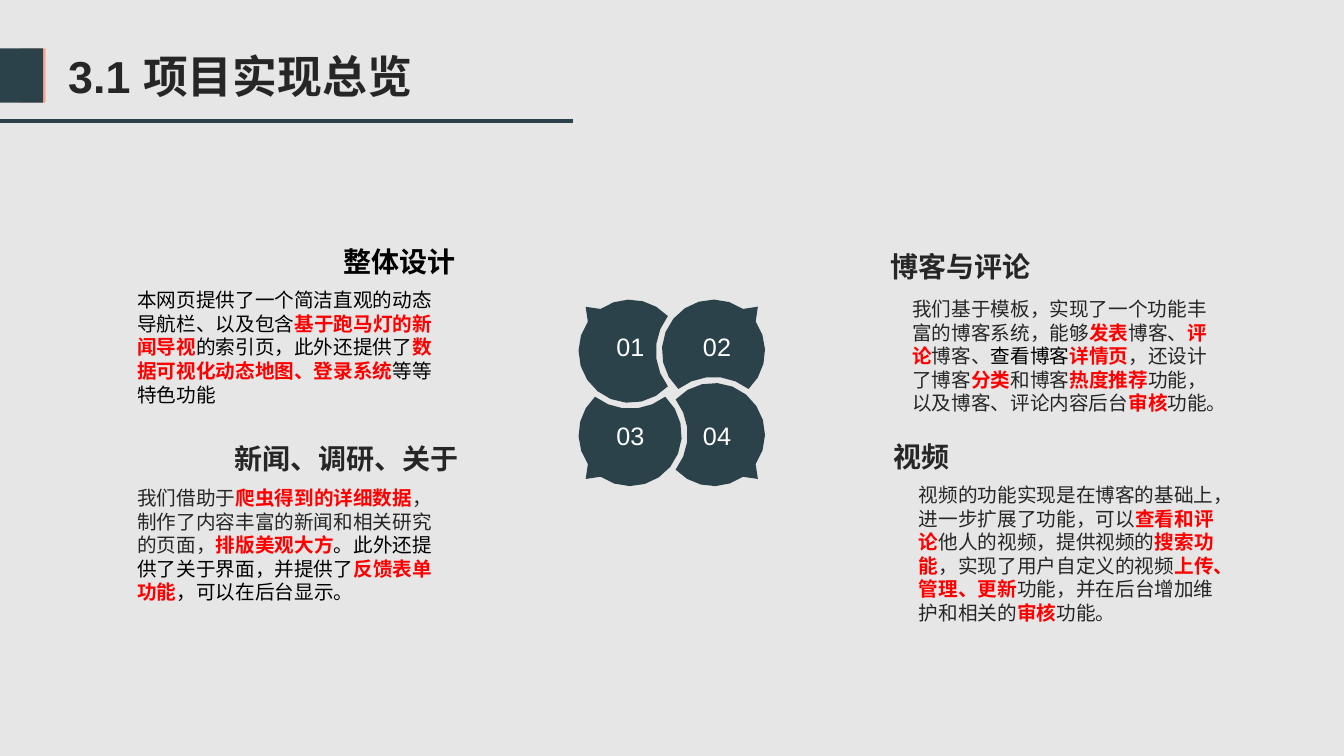
"""Build the project overview slide with four petals and four topics."""
import math
from dataclasses import dataclass
from typing import NamedTuple

import pptx
import pptx.dml.color
import pptx.enum.shapes
import pptx.enum.text
import pptx.oxml
import pptx.oxml.ns
import pptx.util

Cm = pptx.util.Cm
ALIGN = pptx.enum.text.PP_ALIGN
TEAL, PEACH, INK = "2B424A", "F6AC91", "262626"
BLACK, RED, WHITE = "000000", "FF0000", "FFFFFF"
CENTER_X, CENTER_Y, OFFSET = 16.93, 9.9, 1.05
RADIUS, BITE_RADIUS, ARC_STEP = 1.3, 1.45, 18


class Run(NamedTuple):
    text: str
    color: str = INK
    bold: bool = False


class Box(NamedTuple):
    left: float
    top: float
    width: float
    height: float


@dataclass
class Topic:
    heading: str
    heading_box: Box
    body: list[Run]
    body_box: Box
    color: str = INK
    align: ALIGN = ALIGN.LEFT


@dataclass
class Petal:
    label: str
    quarter_turns: int
    label_left: float
    label_top: float


def rgb(color: str) -> pptx.dml.color.RGBColor:
    return pptx.dml.color.RGBColor.from_string(color)


def hot(text: str) -> Run:
    return Run(text, RED, True)


def black(text: str) -> Run:
    return Run(text, BLACK)


def add_text(s, runs: list[Run], box: Box, *, size: float, align: ALIGN = ALIGN.LEFT) -> None:
    sp = s.shapes.add_textbox(*map(Cm, box))
    tf = sp.text_frame
    tf.word_wrap = True
    tf.auto_size = pptx.enum.text.MSO_AUTO_SIZE.SHAPE_TO_FIT_TEXT
    p = tf.paragraphs[0]
    p.alignment = align
    for run in runs:
        r = p.add_run()
        r.text = run.text
        r.font.name = "Arial"
        r.font.size = pptx.util.Pt(size)
        r.font.bold = run.bold
        r.font.color.rgb = rgb(run.color)


def paint(sp, color: str) -> None:
    sp.shadow.inherit = False
    sp.fill.solid()
    sp.fill.fore_color.rgb = rgb(color)
    sp.line.fill.background()


def add_bar(s, box: Box, color: str) -> None:
    paint(s.shapes.add_shape(pptx.enum.shapes.MSO_SHAPE.RECTANGLE, *map(Cm, box)), color)


def arc(x: float, radius: float, start: float, end: float) -> list[tuple[float, float]]:
    steps = math.ceil(abs(end - start) / ARC_STEP)
    angles = [math.radians(start + (end - start) * i / steps) for i in range(steps + 1)]
    return [(x + radius * math.cos(a), radius * math.sin(a)) for a in angles]


def petal_outline() -> list[tuple[float, float]]:
    """Return the lower right petal around its own centre, in centimetres."""
    gap = 2 * OFFSET
    cut = (gap ** 2 + RADIUS ** 2 - BITE_RADIUS ** 2) / (2 * gap)
    edge = 180 - math.degrees(math.acos(cut / RADIUS))
    bite = math.degrees(math.acos((gap - cut) / BITE_RADIUS))
    return [*arc(0, RADIUS, -edge, 35), (1.12, 1.12), *arc(0, RADIUS, 55, edge),
            *arc(-gap, BITE_RADIUS, bite, -bite)[1:-1]]


def add_petal(s, petal: Petal) -> None:
    points = []
    for x, y in petal_outline():
        x, y = x + OFFSET, y + OFFSET
        for _ in range(petal.quarter_turns):
            x, y = -y, x
        points.append((Cm(CENTER_X + x), Cm(CENTER_Y + y)))
    builder = s.shapes.build_freeform(*points[0])
    builder.add_line_segments(points[1:], close=True)
    paint(builder.convert_to_shape(), TEAL)


def add_rule(s, x1: float, x2: float, y: float) -> None:
    line = s.shapes.add_connector(pptx.enum.shapes.MSO_CONNECTOR.STRAIGHT,
                                  Cm(x1), Cm(y), Cm(x2), Cm(y))
    line.line.color.rgb = rgb(TEAL)
    line.line.width = pptx.util.Pt(2.25)
    line._element.spPr.append(pptx.oxml.parse_xml(
        f"<a:effectLst {pptx.oxml.ns.nsdecls('a')}/>"))


PETALS = [Petal("04", 0, 17.32, 10.46), Petal("03", 1, 15.14, 10.46),
          Petal("01", 2, 15.14, 8.23), Petal("02", 3, 17.32, 8.23)]

TOPICS = [
    Topic("整体设计", Box(8.41, 6.03, 4.34, 1.12), [
        black("本网页提供了一个简洁直观的动态导航栏、以及包含"), hot("基于跑马灯的新闻导视"),
        black("的索引页，此外还提供了"), hot("数据可视化动态地图、登录系统"),
        black("等等特色功能"),
    ], Box(3.21, 7.14, 7.95, 3.25), color=BLACK),
    Topic("新闻、调研、关于", Box(5.65, 11, 6.17, 1.12), [
        Run("我们借助于"), hot("爬虫得到的详细数据"),
        Run("，制作了内容丰富的新闻和相关研究的页面，"), hot("排版美观大方"),
        black("。此外还提供了关于界面，并提供了"), hot("反馈表单功能"),
        black("，可以在后台显示。"),
    ], Box(3.21, 12.12, 7.95, 3.25), align=ALIGN.RIGHT),
    Topic("博客与评论", Box(20.05, 6.15, 6.17, 1.12), [
        Run("我们基于模板，实现了一个功能丰富的博客系统，能够"), hot("发表"),
        Run("博客、"), hot("评论"), Run("博客、"), black("查看博客"), hot("详情页"),
        Run("，还设计了博客"), hot("分类"), Run("和博客"), hot("热度推荐"),
        Run("功能，以及博客、评论内容后台"), hot("审核"), Run("功能。"),
    ], Box(22.74, 7.36, 7.95, 3.25), align=ALIGN.RIGHT),
    Topic("视频", Box(22.28, 10.95, 6.17, 1.12), [
        Run("视频的功能实现是在博客的基础上，进一步扩展了功能，可以"), hot("查看和评论"),
        Run("他人的视频，提供视频的"), hot("搜索功能"),
        Run("，实现了用户自定义的视频"), hot("上传、管理、更新"),
        Run("功能，并在后台增加维护和相关的"), hot("审核"), Run("功能。"),
    ], Box(22.91, 12.05, 7.95, 3.84)),
]


def main() -> None:
    prs = pptx.Presentation()
    prs.slide_width, prs.slide_height = Cm(33.87), Cm(19.05)
    s = prs.slides.add_slide(prs.slide_layouts[6])
    s.background.fill.solid()
    s.background.fill.fore_color.rgb = rgb("E7E6E6")
    add_bar(s, Box(0.53, 1.22, 0.62, 1.37), PEACH)
    add_text(s, [Run("3.1 项目实现总览", bold=True)], Box(1.47, 1.1, 9.7, 1.63), size=32)
    add_bar(s, Box(0, 1.22, 1.09, 1.37), TEAL)
    for petal in PETALS:
        add_petal(s, petal)
    for petal in PETALS:
        add_text(s, [Run(petal.label, WHITE)],
                 Box(petal.label_left, petal.label_top, 1.5, 1.02),
                 size=18, align=ALIGN.CENTER)
    for topic in TOPICS:
        add_text(s, [Run(topic.heading, topic.color, True)], topic.heading_box,
                 size=20, align=topic.align)
        add_text(s, topic.body, topic.body_box, size=14)
    add_rule(s, 0, 14.45, 3.05)
    prs.save("out.pptx")


if __name__ == "__main__":
    main()
